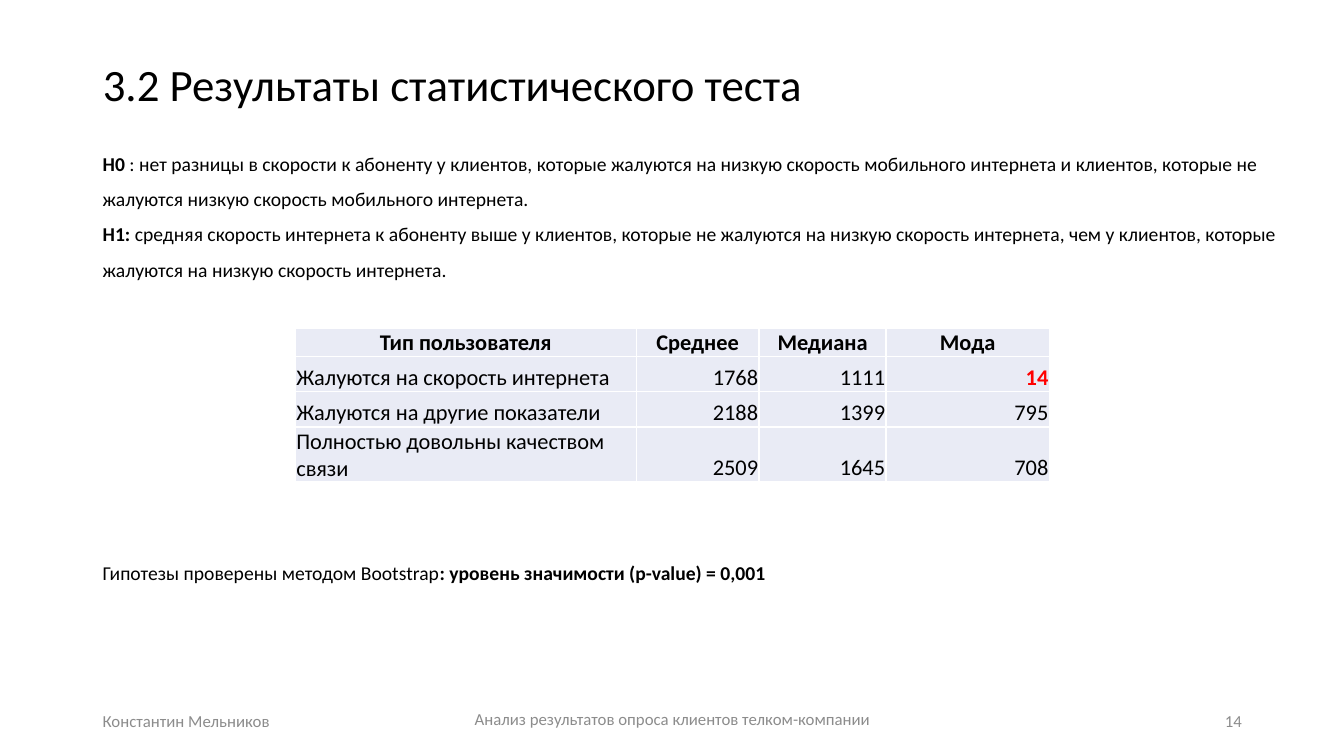
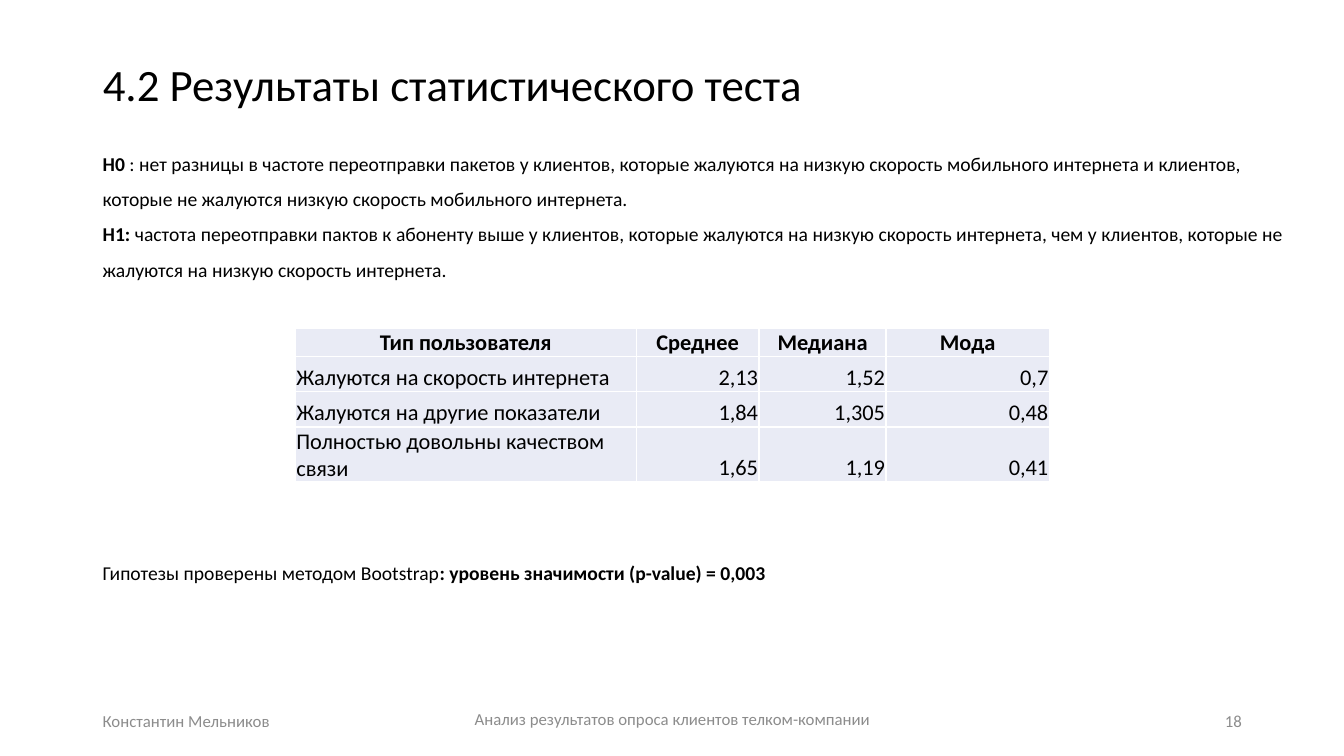
from lxml.etree import SubElement
from pptx import Presentation
from pptx.dml.color import RGBColor
from pptx.enum.text import MSO_ANCHOR, MSO_AUTO_SIZE, PP_ALIGN
from pptx.oxml.ns import qn
from pptx.util import Inches, Pt

SLIDE_W, SLIDE_H = Inches(13.33), Inches(7.5)
FONT = "Calibri"
INK, MUTED, ALERT = "000000", "8C8C8C", "FF0000"
CELL_FILL, CELL_BORDER = "E9EBF5", "FFFFFF"
LEFT, CENTER, RIGHT = PP_ALIGN.LEFT, PP_ALIGN.CENTER, PP_ALIGN.RIGHT

# Boxes: left, top, width, height in percent of the slide
TITLE_BOX = (6.9, 0, 86.25, 15)
HYPOTHESES_BOX = (6.9, 17.87, 91.58, 19.75)
TABLE_BOX = (21.98, 43.47, 56.1, 16.4)
CONCLUSION_BOX = (6.9, 73.6, 90.52, 4.5)
TOPIC_BOX = (33.16, 92.4, 33.75, 5.33)
NUMBER_BOX = (70.65, 92.67, 22.5, 5.33)
AUTHOR_BOX = (6.9, 92.67, 22.5, 5.33)

# Relative sizes of table columns and rows
COLUMN_WEIGHTS = (3.38, 1.22, 1.26, 1.62)
ROW_WEIGHTS = (0.18, 0.35, 0.35, 0.35)

AUTHOR = "Константин Мельников"
TOPIC = "Анализ результатов опроса клиентов телком-компании"
TITLE = "Результаты статистического теста"
TABLE_HEAD = ("Тип пользователя", "Среднее", "Медиана", "Мода")
USER_TYPES = (
    "Жалуются на скорость интернета",
    "Жалуются на другие показатели",
    "Полностью довольны качеством связи",
)

TESTS = (
    dict(
        section="3.2",
        number="14",
        h0="нет разницы в скорости к абоненту у клиентов, которые жалуются на "
           "низкую скорость мобильного интернета и клиентов, которые не "
           "жалуются низкую скорость мобильного интернета.",
        h1="средняя скорость интернета к абоненту выше у клиентов, которые не "
           "жалуются на низкую скорость интернета, чем у клиентов, которые "
           "жалуются на низкую скорость интернета.",
        values=(("1768", "1111", "14"), ("2188", "1399", "795"),
                ("2509", "1645", "708")),
        alerts={(1, 3)},
        p_value="0,001",
    ),
    dict(
        section="4.2",
        number="18",
        h0="нет разницы в частоте переотправки пакетов у клиентов, которые "
           "жалуются на низкую скорость мобильного интернета и клиентов, "
           "которые не жалуются низкую скорость мобильного интернета.",
        h1="частота переотправки пактов к абоненту выше у клиентов, которые "
           "жалуются на низкую скорость интернета, чем у клиентов, которые не "
           "жалуются на низкую скорость интернета.",
        values=(("2,13", "1,52", "0,7"), ("1,84", "1,305", "0,48"),
                ("1,65", "1,19", "0,41")),
        alerts=set(),
        p_value="0,003",
    ),
)


def rgb(color):
    return RGBColor.from_string(color)


def place(box):
    left, top, width, height = box
    return (int(SLIDE_W * left / 100), int(SLIDE_H * top / 100),
            int(SLIDE_W * width / 100), int(SLIDE_H * height / 100))


def write(frame, *paragraphs, size=14, color=INK, align=LEFT, spacing=None):
    """Fill a frame; each paragraph is a list of (text, bold) runs."""
    for index, runs in enumerate(paragraphs):
        paragraph = frame.add_paragraph() if index else frame.paragraphs[0]
        paragraph.alignment = align
        if spacing:
            paragraph.line_spacing = spacing
        for text, bold in runs:
            run = paragraph.add_run()
            run.text = text
            run.font.name = FONT
            run.font.size = Pt(size)
            run.font.bold = bold
            run.font.color.rgb = rgb(color)


def add_text(slide, box, *paragraphs, anchor=MSO_ANCHOR.TOP,
             fit=MSO_AUTO_SIZE.NONE, **style):
    frame = slide.shapes.add_textbox(*place(box)).text_frame
    frame.word_wrap = True
    frame.auto_size = fit
    frame.vertical_anchor = anchor
    write(frame, *paragraphs, **style)


def add_title(slide, box, text):
    title = slide.shapes.title
    title.left, title.top, title.width, title.height = place(box)
    frame = title.text_frame
    frame.auto_size = MSO_AUTO_SIZE.NONE
    frame.vertical_anchor = MSO_ANCHOR.MIDDLE
    write(frame, [(text, False)], size=32, spacing=2.0)


def add_footer(slide, number):
    for box, text, align in ((TOPIC_BOX, TOPIC, CENTER),
                             (NUMBER_BOX, number, RIGHT),
                             (AUTHOR_BOX, AUTHOR, LEFT)):
        add_text(slide, box, [(text, False)], anchor=MSO_ANCHOR.MIDDLE,
                 size=12, color=MUTED, align=align)


def style_cell(cell):
    cell.margin_left = cell.margin_top = cell.margin_right = Inches(0.01)
    cell.margin_bottom = 0
    cell.vertical_anchor = MSO_ANCHOR.BOTTOM
    # Borders come before the fill in the cell properties
    properties = cell._tc.get_or_add_tcPr()
    for side in ("a:lnL", "a:lnR", "a:lnT", "a:lnB"):
        line = SubElement(properties, qn(side), w=str(Pt(1)))
        SubElement(SubElement(line, qn("a:solidFill")), qn("a:srgbClr"),
                   val=CELL_BORDER)
    cell.fill.solid()
    cell.fill.fore_color.rgb = rgb(CELL_FILL)


def add_results(slide, box, values, alerts):
    rows = [TABLE_HEAD] + [(user, *row) for user, row in zip(USER_TYPES, values)]
    left, top, width, height = place(box)
    results = slide.shapes.add_table(len(rows), len(TABLE_HEAD),
                                     left, top, width, height).table
    results.first_row = results.horz_banding = False
    for column, weight in zip(results.columns, COLUMN_WEIGHTS):
        column.width = int(width * weight / sum(COLUMN_WEIGHTS))
    for row, weight in zip(results.rows, ROW_WEIGHTS):
        row.height = int(height * weight / sum(ROW_WEIGHTS))

    for r, row in enumerate(rows):
        for c, text in enumerate(row):
            cell = results.cell(r, c)
            style_cell(cell)
            alert = (r, c) in alerts
            write(cell.text_frame, [(text, r == 0 or alert)], size=16,
                  color=ALERT if alert else INK,
                  align=CENTER if r == 0 else RIGHT if c else LEFT)


def add_test_slide(deck, section, number, h0, h1, values, alerts, p_value):
    slide = deck.slides.add_slide(deck.slide_layouts.get_by_name("Title Only"))
    add_title(slide, TITLE_BOX, f"{section} {TITLE}")
    add_footer(slide, number)
    # Hypotheses
    add_text(slide, HYPOTHESES_BOX,
             [("H0 ", True), (f": {h0}", False)],
             [("H1: ", True), (h1, False)],
             fit=MSO_AUTO_SIZE.SHAPE_TO_FIT_TEXT, spacing=1.5)
    add_results(slide, TABLE_BOX, values, alerts)
    # Conclusion
    add_text(slide, CONCLUSION_BOX,
             [("Гипотезы проверены методом Bootstrap", False),
              (f": уровень значимости (p-value) = {p_value}", True)],
             fit=MSO_AUTO_SIZE.SHAPE_TO_FIT_TEXT)


def main():
    deck = Presentation()
    deck.slide_width, deck.slide_height = SLIDE_W, SLIDE_H
    for test in TESTS:
        add_test_slide(deck, **test)
    deck.save("out.pptx")


if __name__ == "__main__":
    main()
